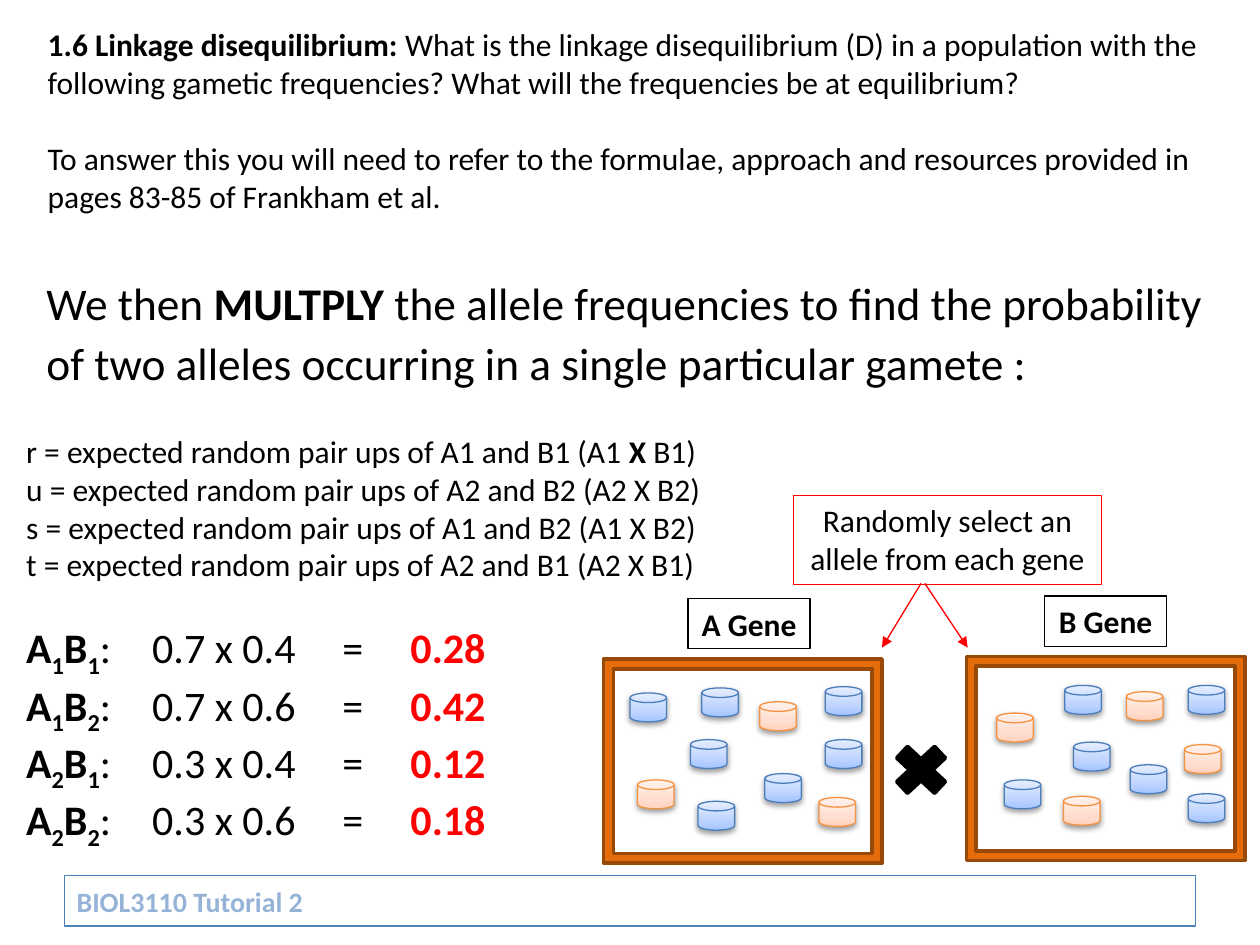
from itertools import product

from lxml import etree
from pptx import Presentation, util as u
from pptx.dml.color import RGBColor
from pptx.enum import shapes, text
from pptx.oxml import parse_xml
from pptx.oxml.ns import nsdecls, qn

PX = 9144
FONT = "Calibri"
BLACK, WHITE, RED = "000000", "FFFFFF", "FF0000"
BLUE_DISK = ("4B7EBC", ((0, "A4C4FF"), (35, "BFD4FF"), (100, "E6EEFF")))
ORANGE_DISK = ("F69240", ((0, "FFD2BD"), (35, "FFDED0"), (100, "FFF2ED")))


def color(value):
    return RGBColor.from_string(value)


def px(*lengths):
    return [length * PX for length in lengths]


class Slide:
    def __init__(self, page):
        self.page = page

    def outline(self, shape, line, width):
        shape.line.color.rgb = color(line)
        shape.line.width = u.Pt(width)

    def text(self, at, lines, size, ink=BLACK, bold=None, align=None,
             line=None, fill=None, middle=False, spacing=None):
        box = self.page.shapes.add_textbox(*px(*at))
        if line:
            self.outline(box, line, 0.75)
        if fill:
            box.fill.solid()
            box.fill.fore_color.rgb = color(fill)
        frame = box.text_frame
        frame.word_wrap = True
        if middle:
            frame.vertical_anchor = text.MSO_ANCHOR.MIDDLE
        for index, spans in enumerate(lines):
            para = frame.paragraphs[0] if index == 0 else frame.add_paragraph()
            self.fill_paragraph(para, spans, size, ink, bold)
            para.alignment = align
            para.line_spacing = spacing
        return box

    def fill_paragraph(self, para, spans, size, ink=BLACK, bold=None):
        para.font.name = FONT
        para.font.size = u.Pt(size)
        para.font.color.rgb = color(ink)
        para.font.bold = bold
        for words, style in spans:
            span = para.add_run()
            span.text = words
            if "bold" in style:
                span.font.bold = True
            if "sub" in style:
                span.font._element.set("baseline", "-25000")
            if "red" in style:
                span.font.color.rgb = color(RED)

    def tabs(self, para, stops):
        tab_list = etree.SubElement(para._p.get_or_add_pPr(), qn("a:tabLst"))
        for stop in stops:
            etree.SubElement(tab_list, qn("a:tab"), pos=str(stop * PX), algn="l")

    def shape(self, parent, kind, at, fill, line, width):
        shape = parent.add_shape(kind, *px(*at))
        shape.shadow.inherit = False
        shape.fill.solid()
        shape.fill.fore_color.rgb = color(fill)
        self.outline(shape, line, width)
        return shape

    def disk(self, parent, left, top, style):
        line, stops = style
        shape = self.shape(parent, shapes.MSO_SHAPE.FLOWCHART_MAGNETIC_DISK,
                           (left, top, 29, 23), WHITE, line, 0.75)
        properties = shape._element.spPr
        marks = "".join(f'<a:gs pos="{place * 1000}"><a:srgbClr val="{tint}"/></a:gs>'
                        for place, tint in stops)
        properties.replace(properties.find(qn("a:solidFill")), parse_xml(
            f'<a:gradFill {nsdecls("a")} rotWithShape="1"><a:gsLst>{marks}</a:gsLst>'
            '<a:lin ang="16200000" scaled="1"/></a:gradFill>'))
        properties.replace(properties.find(qn("a:effectLst")), parse_xml(
            f'<a:effectLst {nsdecls("a")}><a:outerShdw blurRad="40000" dist="20000" '
            'dir="5400000" rotWithShape="0"><a:srgbClr val="000000">'
            '<a:alpha val="38000"/></a:srgbClr></a:outerShdw></a:effectLst>'))

    def gene_pool(self, left, top, orange, blue):
        pool = self.page.shapes.add_group_shape().shapes
        frame = self.shape(pool, shapes.MSO_SHAPE.FRAME, (left, top, 221, 162),
                           "E46C0A", "984807", 2)
        frame.adjustments[0] = 0.048
        for places, style in ((orange, ORANGE_DISK), (blue, BLUE_DISK)):
            for disk_left, disk_top in places:
                self.disk(pool, disk_left, disk_top, style)

    def arrow(self, *ends):
        arrow = self.page.shapes.add_connector(shapes.MSO_CONNECTOR.STRAIGHT, *px(*ends))
        self.outline(arrow, RED, 0.75)
        etree.SubElement(arrow.line._get_or_add_ln(), qn("a:tailEnd"), type="triangle")
        etree.SubElement(arrow._element.spPr, qn("a:effectLst"))


def main():
    deck = Presentation()
    deck.slide_width, deck.slide_height = px(1000, 750)
    slide = Slide(deck.slides.add_slide(deck.slide_layouts[6]))

    pairs = [("r", "A1", "B1"), ("u", "A2", "B2"), ("s", "A1", "B2"), ("t", "A2", "B1")]
    lines = []
    for letter, first, second in pairs:
        style = "bold" if letter == "r" else ""
        lines.append([
            (f"{letter} = expected random pair ups of {first} and {second} ({first} ", ""),
            ("X ", style), (f"{second})", "")])
    gametes = slide.text((11, 338, 877, 414), lines, 18)

    a_alleles, b_alleles = {"1": 0.7, "2": 0.3}, {"1": 0.4, "2": 0.6}
    for index, (first, second) in enumerate(product(a_alleles, b_alleles)):
        p, q = a_alleles[first], b_alleles[second]
        para = gametes.text_frame.add_paragraph()
        slide.tabs(para, (100, 251, 305))
        slide.fill_paragraph(para, [
            ("A", "bold"), (first, "bold sub"), ("B", "bold"), (second, "bold sub"),
            (f":\t{p} x {q}\t=\t", ""), (f"{p * q:.2f}", "bold red")], 24)
        if index == 0:
            para.space_before = u.Pt(22)

    slide.text((51, 695, 898, 40), [[("BIOL3110 Tutorial 2", "")]], 16, "95B3D7",
               bold=True, line="4F81BD", fill=WHITE, middle=True)
    slide.text((27, 209, 948, 187), [[
        ("We then ", ""), ("MULTPLY ", "bold"),
        ("the allele frequencies to find the probability of two alleles "
         "occurring in a single particular gamete :", "")]], 25.9, spacing=1.1)
    question = slide.text((28, 15, 988, 404), [
        [("1.6 Linkage disequilibrium: ", "bold"),
         ("What is the linkage disequilibrium (D) in a population with the following "
          "gametic frequencies? What will the frequencies be at equilibrium?", "")],
        [("To answer this you will need to refer to the formulae, approach and "
          "resources provided in pages 83-85 of Frankham et al.", "")]], 18)
    question.text_frame.paragraphs[1].space_before = u.Pt(22)

    slide.shape(slide.page.shapes, shapes.MSO_SHAPE.MATH_MULTIPLY,
                (702, 584, 58, 54), BLACK, BLACK, 2)
    slide.gene_pool(479, 523,
                    [(603, 557), (506, 619), (650, 633)],
                    [(554, 636), (557, 546), (607, 614), (500, 550),
                     (548, 587), (655, 587), (655, 545)])
    slide.gene_pool(767, 521,
                    [(791, 566), (940, 591), (844, 632), (894, 549)],
                    [(845, 544), (797, 619), (852, 589), (943, 630),
                     (897, 607), (943, 544)])

    center = text.PP_ALIGN.CENTER
    for label, left, top in (("A Gene", 546, 475), ("B Gene", 829, 473)):
        slide.text((left, top, 97, 40), [[(label, "")]], 18,
                   bold=True, align=center, line=BLACK)
    slide.text((630, 393, 244, 71), [[("Randomly select an allele from each gene", "")]],
               18, align=center, line=RED)
    slide.arrow(731, 463, 700, 514)
    slide.arrow(734, 463, 768, 514)

    deck.save("out.pptx")


if __name__ == "__main__":
    main()
